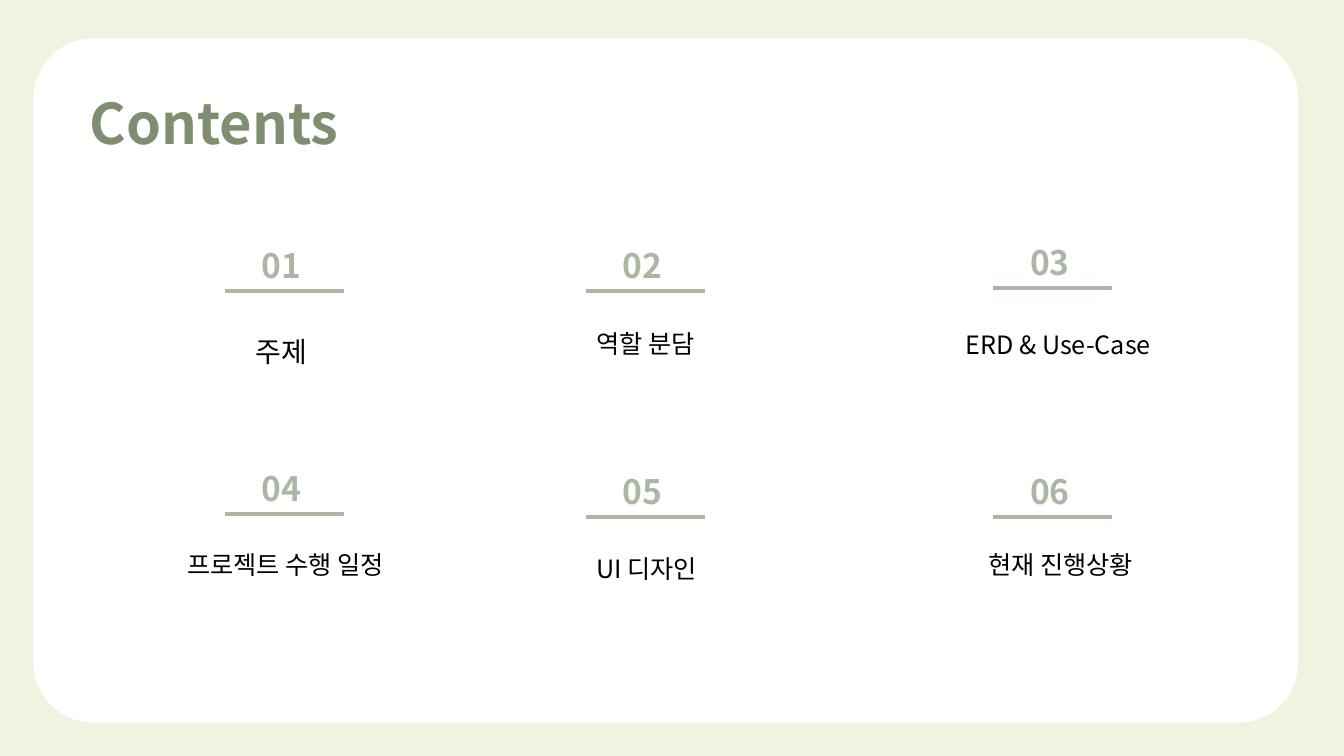
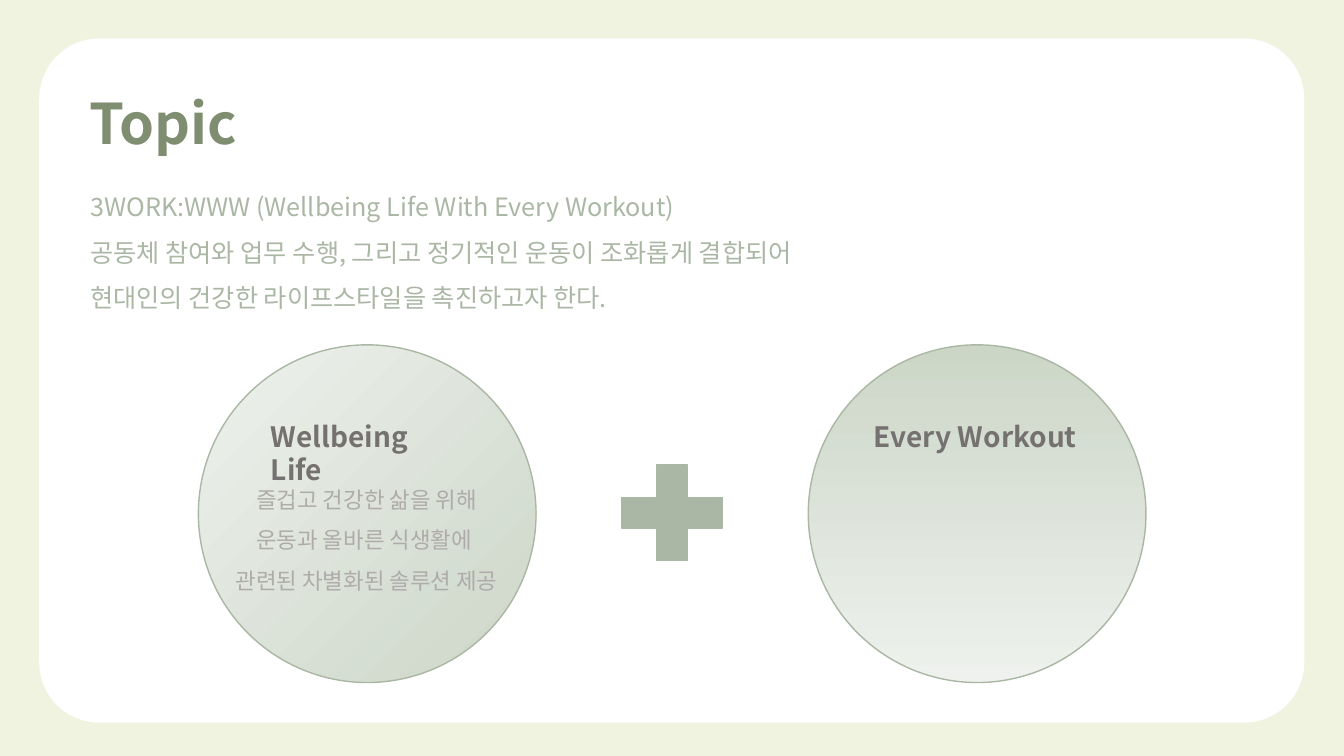
from lxml.etree import SubElement
from pptx import Presentation
from pptx.dml.color import RGBColor
from pptx.enum.shapes import MSO_CONNECTOR, MSO_SHAPE
from pptx.enum.text import PP_ALIGN
from pptx.oxml.ns import qn
from pptx.util import Cm, Pt

FONT = "Noto Sans CJK KR"
CREAM = RGBColor(0xF1, 0xF3, 0xE1)
WHITE = RGBColor(0xFF, 0xFF, 0xFF)
BLACK = RGBColor(0x00, 0x00, 0x00)
OLIVE = RGBColor(0x7F, 0x8D, 0x70)
SAGE = RGBColor(0xAB, 0xB7, 0xA5)
SAGE_LIGHT = RGBColor(0xCC, 0xD6, 0xC7)
SAGE_PALE = RGBColor(0xEE, 0xF1, 0xED)
GRAY = RGBColor(0x76, 0x71, 0x71)
GRAY_LIGHT = RGBColor(0xAF, 0xAB, 0xAB)

# Label, label size, label line spacing, rule height, label left and top (cm)
CONTENTS = [
    ("주제", 20, 1.5, 7.34, 6.2, 7.87),
    ("역할 분담", 18, 1, 7.34, 14.78, 8.15),
    ("ERD & Use-Case", 18, 1, 7.26, 24.08, 8.18),
    ("프로젝트 수행 일정", 18, 1, 12.95, 4.47, 13.72),
    ("UI 디자인", 18, 1, 13.03, 14.78, 13.82),
    ("현재 진행상황", 18, 1, 13.03, 24.66, 13.72),
]
RULE_LEFTS = [5.66, 14.76, 25.02]
RULE_WIDTH = 3.01

INTRO = [
    "3WORK:WWW (Wellbeing Life With Every Workout)",
    "공동체 참여와 업무 수행, 그리고 정기적인 운동이 조화롭게 결합되어",
    "현대인의 건강한 라이프스타일을 촉진하고자 한다.",
]
# Heading, heading left and width, circle left (cm), gradient angle and ends
CIRCLES = [
    ("Wellbeing Life", 6.58, 5.36, 5, 315, (SAGE_PALE, SAGE_LIGHT)),
    ("Every Workout", 21.77, 5.72, 20.37, 270, (SAGE_LIGHT, SAGE_PALE)),
]
SOLUTION = [
    "즐겁고 건강한 삶을 위해",
    "운동과 올바른 식생활에 ",
    "관련된 차별화된 솔루션 제공",
]


def add_text(slide, lines, left, top, width, height, size, color,
             bold=False, spacing=1, align=PP_ALIGN.LEFT):
    box = slide.shapes.add_textbox(Cm(left), Cm(top), Cm(width), Cm(height))
    tf = box.text_frame
    tf.word_wrap = True
    tf.text = "\n".join(lines)
    for p in tf.paragraphs:
        p.alignment = align
        p.line_spacing = float(spacing)
        for r in p.runs:
            r.font.size = Pt(size)
            r.font.bold = bold
            r.font.color.rgb = color
            r.font.name = FONT
            SubElement(r.font._element, qn("a:ea"), typeface=FONT)


def add_shape(slide, kind, left, top, width, height, line=None):
    sp = slide.shapes.add_shape(kind, Cm(left), Cm(top), Cm(width), Cm(height))
    sp.shadow.inherit = False
    if line is None:
        sp.line.fill.background()
    else:
        sp.line.color.rgb = line
        sp.line.width = Pt(1)
    return sp


def add_rule(slide, left, top):
    rule = slide.shapes.add_connector(
        MSO_CONNECTOR.STRAIGHT, Cm(left), Cm(top), Cm(left + RULE_WIDTH), Cm(top))
    rule.line.color.rgb = SAGE
    rule.line.width = Pt(3)
    SubElement(rule._element.spPr, qn("a:effectLst"))


def add_card_slide(prs, title, card_left):
    """Add a slide with the white rounded card and its title."""
    slide = prs.slides.add_slide(prs.slide_layouts[6])
    card = add_shape(slide, MSO_SHAPE.ROUNDED_RECTANGLE, card_left, 0.97, 31.88, 17.24)
    card.adjustments[0] = 0.088
    card.fill.solid()
    card.fill.fore_color.rgb = WHITE
    add_text(slide, [title], 2.01, 2.11, 29.85, 1.95, 40, OLIVE, bold=True)
    return slide


def build_contents(prs):
    slide = add_card_slide(prs, "Contents", 0.84)
    for i, (label, size, spacing, rule_top, left, top) in enumerate(CONTENTS):
        rule_left = RULE_LEFTS[i % len(RULE_LEFTS)]
        add_rule(slide, rule_left, rule_top)
        add_text(slide, [f"{i + 1:02}"], rule_left + 0.69, rule_top - 1.8,
                 2.03, 1.65, 24, SAGE, bold=True, spacing=1.5)
        add_text(slide, [label], left, top, 6.2, 1.02, size, BLACK, spacing=spacing)


def build_topic(prs):
    slide = add_card_slide(prs, "Topic", 0.99)
    add_text(slide, INTRO, 2.03, 4.32, 29.85, 3.61, 18, SAGE, spacing=1.5)
    for heading, text_left, text_width, left, angle, ends in CIRCLES:
        circle = add_shape(slide, MSO_SHAPE.OVAL, left, 8.69, 8.51, 8.51, SAGE)
        circle.fill.gradient()
        circle.fill.gradient_angle = angle
        for stop, color in zip(circle.fill.gradient_stops, ends):
            stop.color.rgb = color
        add_text(slide, [heading], text_left, 10.44, text_width, 1.12, 20, GRAY, bold=True)
    add_text(slide, SOLUTION, 5.28, 11.79, 7.92, 3.23, 16, GRAY_LIGHT,
             spacing=1.5, align=PP_ALIGN.CENTER)
    plus = add_shape(slide, MSO_SHAPE.MATH_PLUS, 15.21, 11.28, 3.45, 3.28, SAGE)
    plus.adjustments[0] = 0.235
    plus.fill.solid()
    plus.fill.fore_color.rgb = SAGE


def main():
    prs = Presentation()
    prs.slide_width, prs.slide_height = Cm(33.87), Cm(19.05)
    background = prs.slide_master.background.fill
    background.solid()
    background.fore_color.rgb = CREAM
    build_contents(prs)
    build_topic(prs)
    prs.save("out.pptx")


if __name__ == "__main__":
    main()
